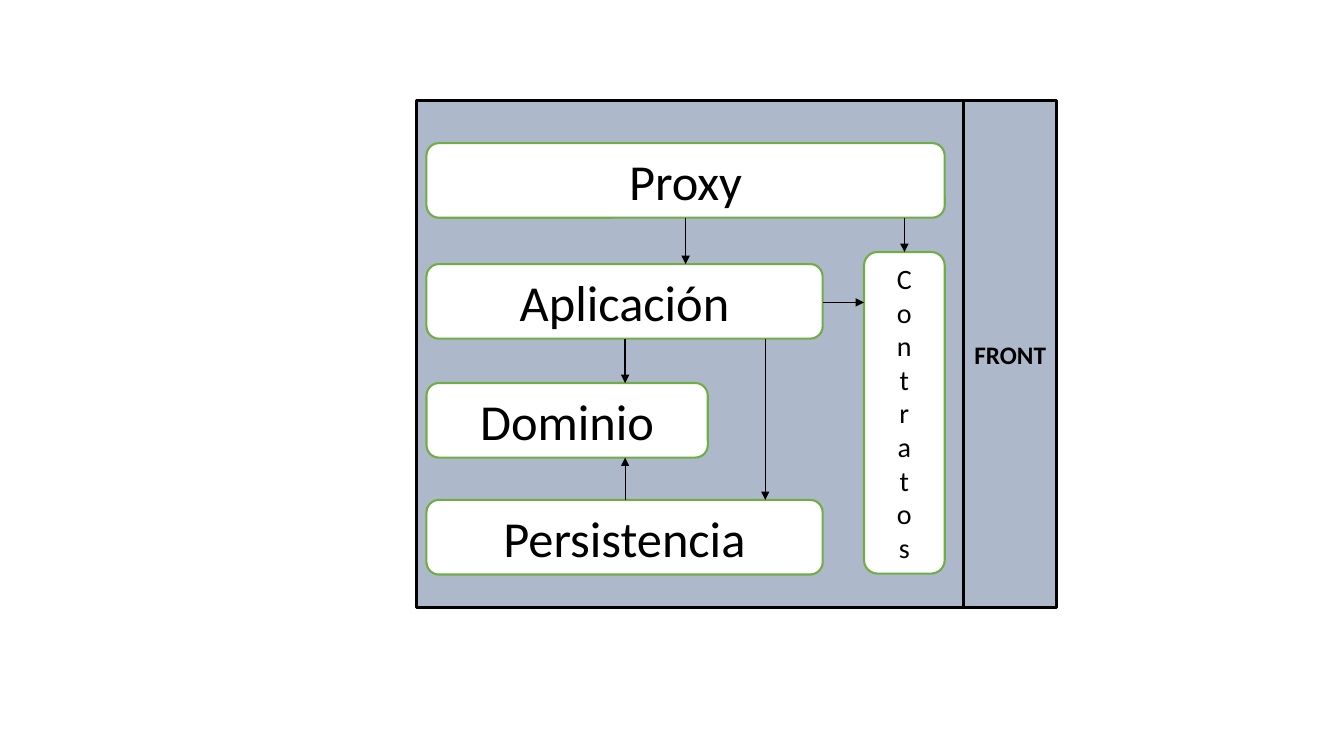
from pptx import Presentation
from pptx.dml.color import RGBColor
from pptx.enum.shapes import MSO_CONNECTOR as Connector, MSO_SHAPE as Shape
from pptx.enum.text import MSO_ANCHOR as Anchor, PP_ALIGN as Align
from pptx.oxml.ns import qn
from pptx.util import Inches, Pt
from lxml.etree import SubElement

COLORS = {"panel": "ADB9CA", "layer": "FFFFFF", "edge": "70AD47", "ink": "000000"}
LEFT = 4.23
LAYER_HEIGHT = 0.74
LAYERS = [
    ("Proxy", 1.42, 5.14),
    ("Aplicación", 2.62, 3.93),
    ("Dominio", 3.8, 2.79),
    ("Persistencia", 4.96, 3.93),
]
ARROWS = [
    ((6.2, 4.96), (6.2, 4.54), 0.5),
    ((8.16, 3), (8.57, 3), 1),
    ((6.2, 3.36), (6.2, 3.8), 1),
    ((7.59, 3.36), (7.59, 4.96), 1),
    ((8.97, 2.16), (8.97, 2.5), 1),
    ((6.8, 2.16), (6.8, 2.62), 1),
]


def color(name):
    return RGBColor.from_string(COLORS[name])


class Diagram:
    def __init__(self, page, font="Calibri"):
        self.page = page
        self.font = font

    def box(self, kind, place, fill, line, width):
        box = self.page.shapes.add_shape(kind, *map(Inches, place))
        box.shadow.inherit = False
        box.fill.solid()
        box.fill.fore_color.rgb = color(fill)
        box.line.color.rgb = color(line)
        box.line.width = Pt(width)
        return box

    def label(self, box, text, size, bold=False):
        frame = box.text_frame
        frame.word_wrap = True
        frame.vertical_anchor = Anchor.MIDDLE
        frame.margin_left = frame.margin_right = Inches(0.05)
        frame.text = text
        for para in frame.paragraphs:
            para.alignment = Align.CENTER
            para.font.name = self.font
            para.font.size = Pt(size)
            para.font.bold = bold
            para.font.color.rgb = color("ink")

    def panel(self, place, text=""):
        box = self.box(Shape.RECTANGLE, place, "panel", "ink", 2.25)
        if text:
            self.label(box, text, 18, bold=True)

    def layer(self, place, text, size=36):
        box = self.box(Shape.ROUNDED_RECTANGLE, place, "layer", "edge", 1.5)
        self.label(box, text, size)

    def arrow(self, start, end, width):
        arrow = self.page.shapes.add_connector(
            Connector.STRAIGHT, *map(Inches, start + end))
        arrow.line.color.rgb = color("ink")
        arrow.line.width = Pt(width)
        properties = arrow.element.spPr
        SubElement(properties.find(qn("a:ln")), qn("a:tailEnd"), type="triangle")
        SubElement(properties, qn("a:effectLst"))


def main():
    deck = Presentation()
    deck.slide_width = Inches(13.33)
    deck.slide_height = Inches(7.5)
    diagram = Diagram(deck.slides.add_slide(deck.slide_layouts[6]))

    diagram.panel((4.13, 1, 5.43, 5.03))
    diagram.panel((9.56, 1, 0.92, 5.03), "FRONT")
    for name, top, width in LAYERS:
        diagram.layer((LEFT, top, width, LAYER_HEIGHT), name)
    diagram.layer((8.57, 2.5, 0.8, 3.19), "\n".join("Contratos"), size=20)
    for start, end, width in ARROWS:
        diagram.arrow(start, end, width)

    deck.save("out.pptx")


if __name__ == "__main__":
    main()
